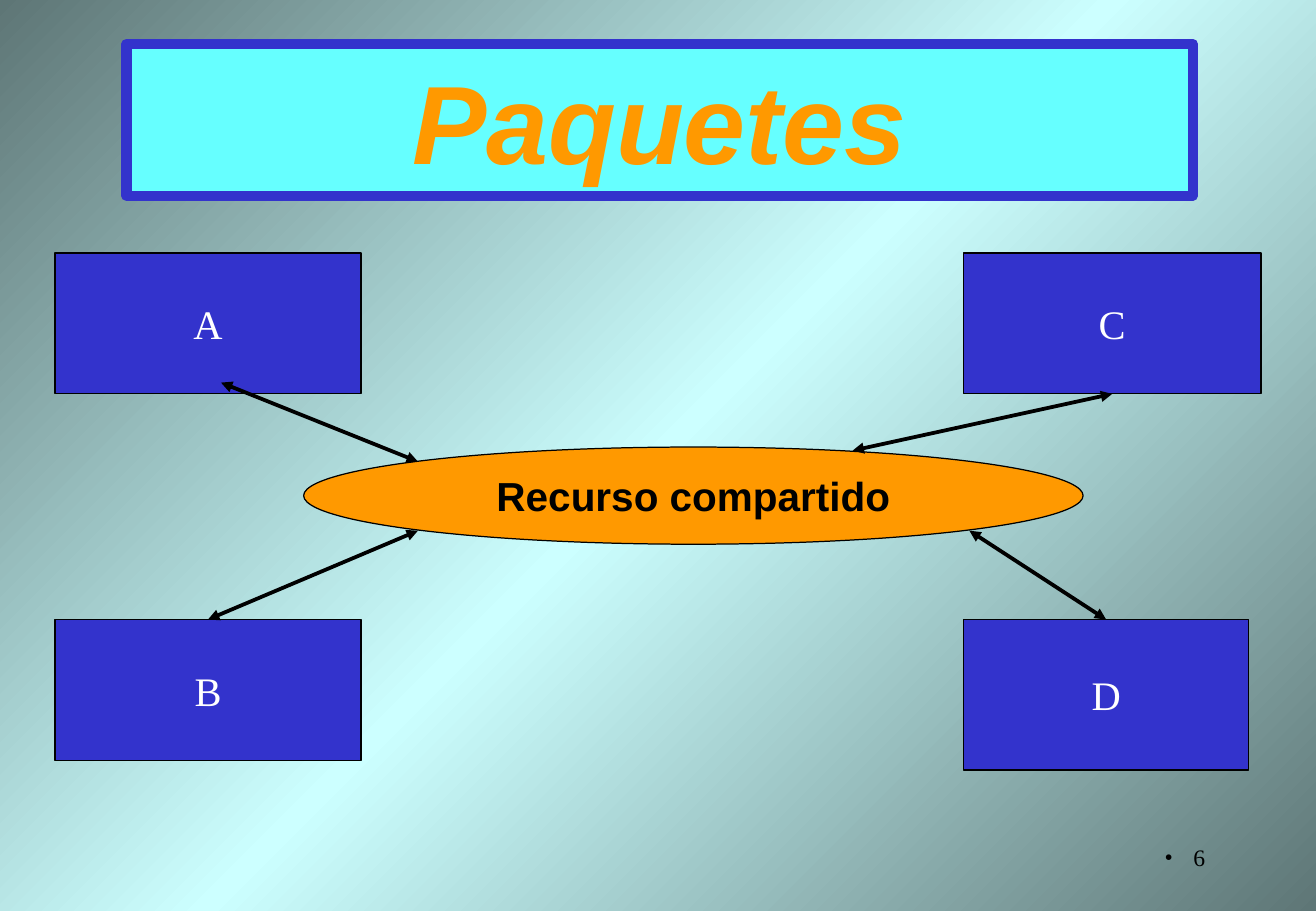
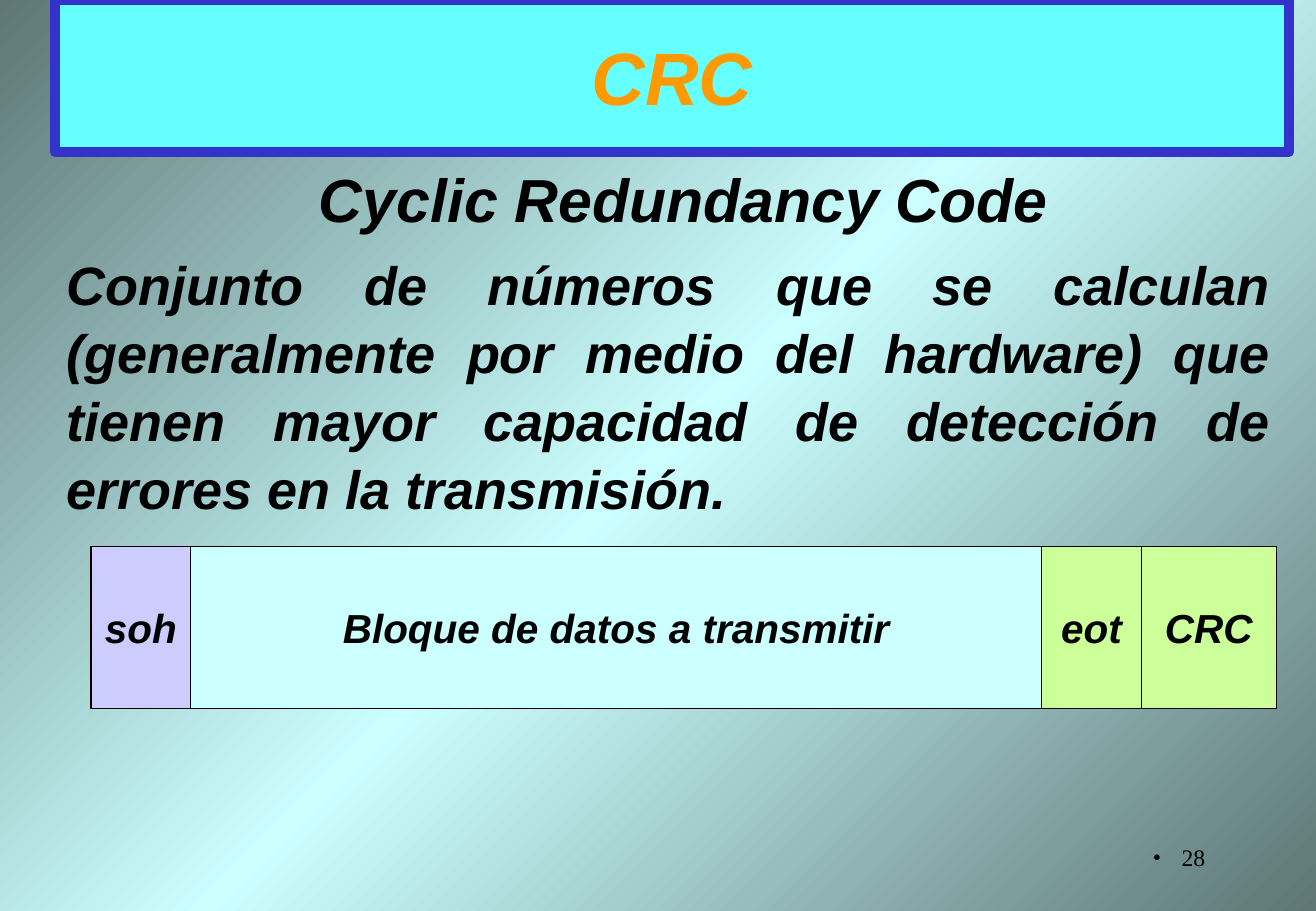
import copy

import pptx
import pptx.dml.color
import pptx.enum.shapes
import pptx.enum.text
import pptx.oxml
import pptx.oxml.ns
import pptx.util

Pt = pptx.util.Pt
qn = pptx.oxml.ns.qn
SHAPE = pptx.enum.shapes.MSO_SHAPE
ALIGN = pptx.enum.text.PP_ALIGN
ANCHOR = pptx.enum.text.MSO_ANCHOR

BLACK, WHITE = "000000", "FFFFFF"
BLUE, ORANGE, CYAN = "3333CC", "FF9900", "66FFFF"
LILAC, PALE, GREEN = "CCCCFF", "CCFFFF", "CCFF99"
GRADIENT = [(0, "5E7676"), (0.5, PALE), (1, "5E7676")]
SANS, SERIF = "Arial", "Times New Roman"


def rgb(value):
    return pptx.dml.color.RGBColor.from_string(value)


def sub(parent, tag, **attrs):
    """Append a DrawingML child element with the given attributes."""
    child = parent.makeelement(qn(tag), attrs)
    parent.append(child)
    return child


class Deck:
    def __init__(self, width, height):
        self.prs = pptx.Presentation()
        self.prs.slide_width, self.prs.slide_height = Pt(width), Pt(height)
        self.s = None
        self.background()

    def background(self):
        """Give the master the diagonal three-stop gradient."""
        master = self.prs.slide_master
        fill = master.background.fill
        fill.gradient()
        fill.gradient_angle = 315
        stops = master.element.find(".//" + qn("a:gsLst"))
        stops.append(copy.deepcopy(stops[-1]))
        for stop, (position, color) in zip(fill.gradient_stops, GRADIENT):
            stop.position = position
            stop.color.rgb = rgb(color)

    def slide(self, number):
        self.s = self.prs.slides.add_slide(self.prs.slide_layouts[6])
        self.page_number(number)

    def add_text(self, sp, text, size, font=SANS, color=BLACK, bold=True,
                 italic=True, align=ALIGN.CENTER):
        p = sp.text_frame.paragraphs[0]
        p.alignment = align
        r = p.add_run()
        r.text = text
        r.font.name, r.font.size = font, Pt(size)
        r.font.bold, r.font.italic = bold, italic
        r.font.color.rgb = rgb(color)
        return p

    def text(self, text, x, y, w, h, size, top=3.6, **style):
        sp = self.s.shapes.add_textbox(Pt(x), Pt(y), Pt(w), Pt(h))
        sp.text_frame.word_wrap = True
        sp.text_frame.margin_top = Pt(top)
        return self.add_text(sp, text, size, **style)

    def page_number(self, number):
        p = self.text(str(number), 558.7, 491.8, 162.7, 36, 14, top=8,
                      font=SERIF, bold=False, italic=False, align=ALIGN.RIGHT)
        ppr = p._p.get_or_add_pPr()
        ppr.set("marL", str(Pt(17)))
        ppr.set("indent", str(-Pt(17)))
        sub(ppr, "a:buFont", typeface=SERIF)
        sub(ppr, "a:buChar", char="•")

    def box(self, text, x, y, w, h, fill, size=24, kind=SHAPE.RECTANGLE,
            line=BLACK, weight=0.75, wrap=False, **style):
        sp = self.s.shapes.add_shape(kind, Pt(x), Pt(y), Pt(w), Pt(h))
        sp.shadow.inherit = False
        sp.fill.solid()
        sp.fill.fore_color.rgb = rgb(fill)
        sp.line.color.rgb = rgb(line)
        sp.line.width = Pt(weight)
        sp.text_frame.word_wrap = wrap
        sp.text_frame.vertical_anchor = ANCHOR.MIDDLE
        self.add_text(sp, text, size, **style)
        return sp

    def title(self, text, x, y, w, size):
        self.box(text, x, y, w, 90, CYAN, size, line=BLUE, weight=6,
                 wrap=True, color=ORANGE)

    def arrow(self, start, end, node=None, side=0):
        """Draw a two-headed arrow, its start joined to a node's side if given."""
        cx = self.s.shapes.add_connector(
            pptx.enum.shapes.MSO_CONNECTOR.STRAIGHT, *map(Pt, start + end))
        cx.line.color.rgb = rgb(BLACK)
        cx.line.width = Pt(2.25)
        ln = cx.line._get_or_add_ln()
        for tag in ("a:headEnd", "a:tailEnd"):
            sub(ln, tag, type="triangle")
        sub(cx._element.spPr, "a:effectLst")
        if node is not None:
            cx.begin_connect(node, side)


def packets(deck):
    deck.slide(6)
    deck.title("Paquetes", 75, 26, 632, 66)
    deck.box("Recurso compartido", 180, 265, 462, 57.6, ORANGE,
             kind=SHAPE.OVAL, italic=False)
    left, right, top, bottom = 32.6, 571, 150, 367.2
    nodes = {}
    for name, x, y, w, h in [("A", left, top, 181.4, 83.5),
                             ("B", left, bottom, 181.4, 83.5),
                             ("C", right, top, 176.4, 83.5),
                             ("D", right, bottom, 169.2, 89.3)]:
        nodes[name] = deck.box(name, x, y, w, h, BLUE, font=SERIF,
                               color=WHITE, bold=False, italic=False)
    deck.arrow((131, 226.8), (247.7, 273.6))
    deck.arrow((123.8, 367.2), (247.7, 314.6), nodes["B"], 0)
    deck.arrow((658.8, 233.3), (505.4, 267.1), nodes["C"], 2)
    deck.arrow((655.9, 367.2), (574.6, 314.6), nodes["D"], 0)


def crc(deck):
    deck.slide(28)
    deck.title("CRC", 32.6, 0, 731.5, 44)
    deck.text("Cyclic Redundancy Code", 182, 90, 460, 50.4, 36, top=6,
              align=ALIGN.LEFT)
    p = deck.text("Conjunto de números que se calculan (generalmente por medio "
                  "del hardware) que tienen mayor capacidad de detección de "
                  "errores en la transmisión.", 32.6, 142, 728, 232.6, 32,
                  top=5, align=ALIGN.JUSTIFY)
    p.line_spacing = 1.05
    x = 54
    for text, w, fill in [("soh", 59, LILAC),
                          ("Bloque de datos a transmitir", 504.5, PALE),
                          ("eot", 59, GREEN), ("CRC", 80, GREEN)]:
        deck.box(text, x, 324, w, 96, fill)
        x += w


def main():
    deck = Deck(780, 540)
    packets(deck)
    crc(deck)
    deck.prs.save("out.pptx")


if __name__ == "__main__":
    main()
